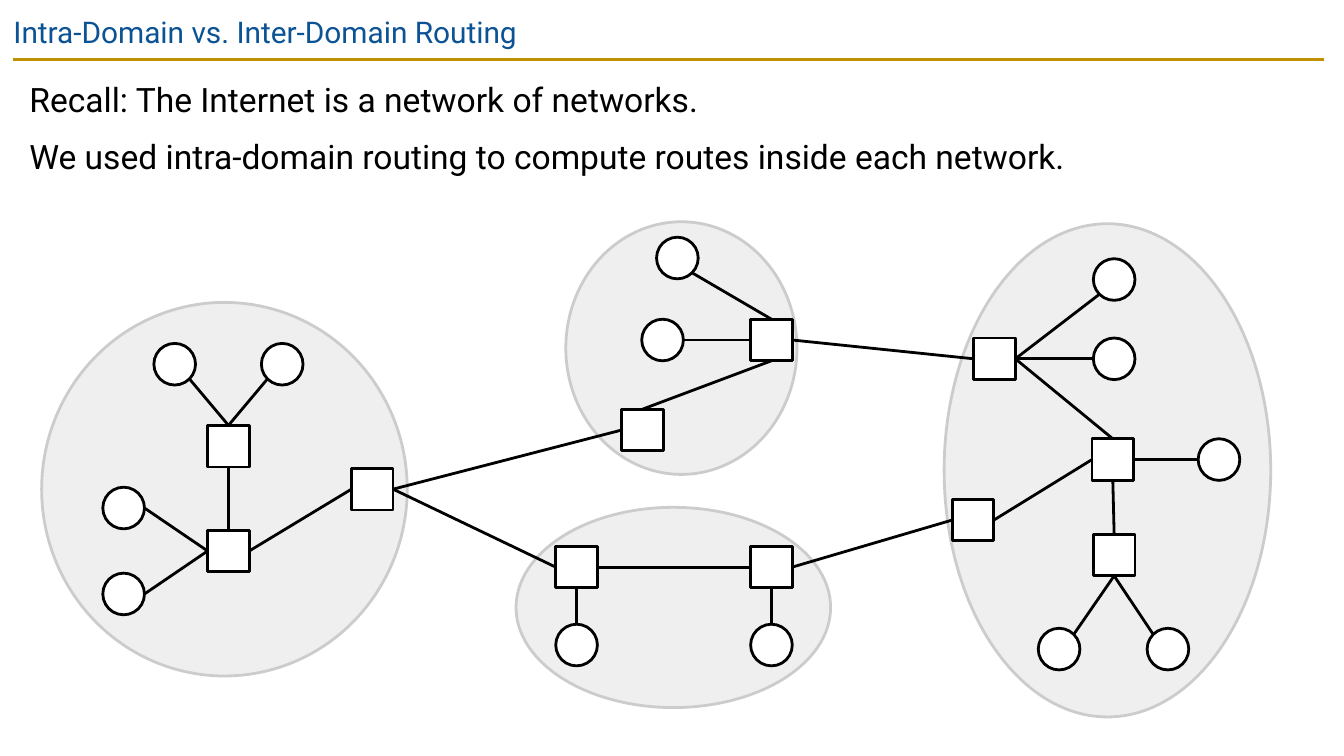
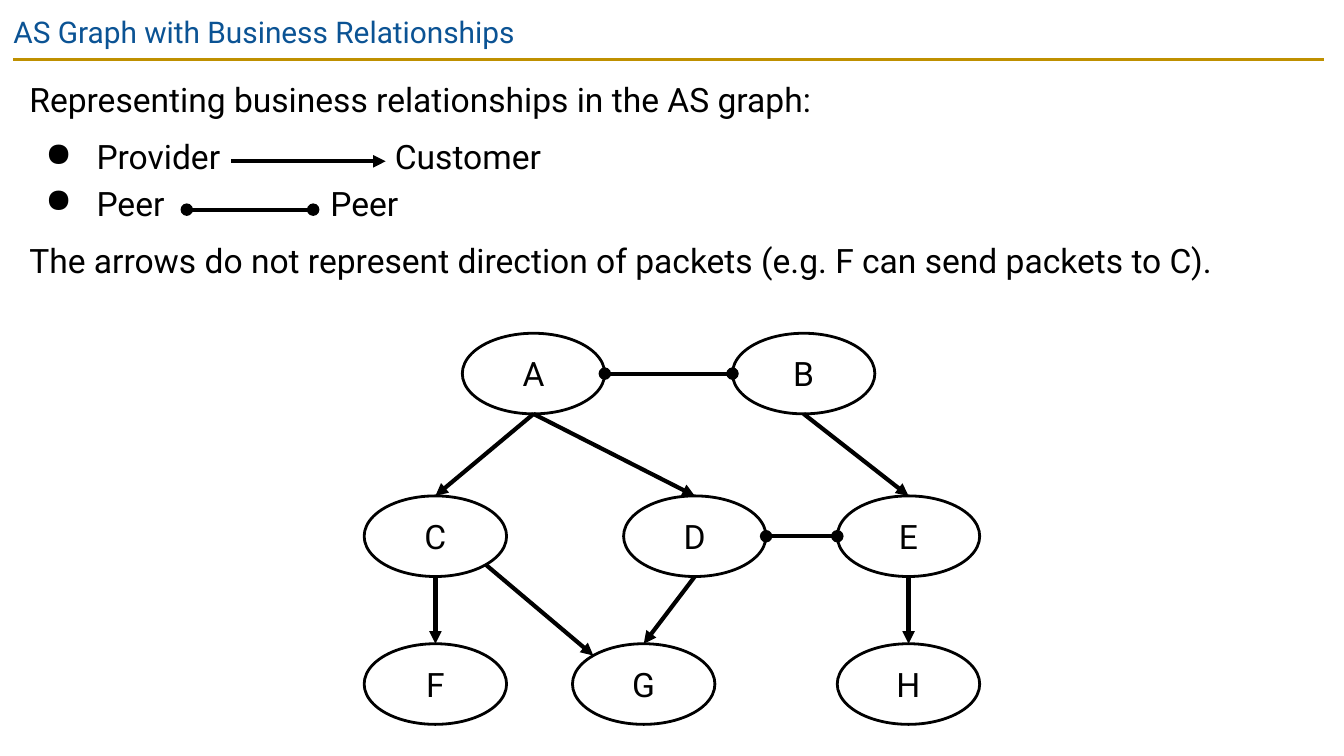
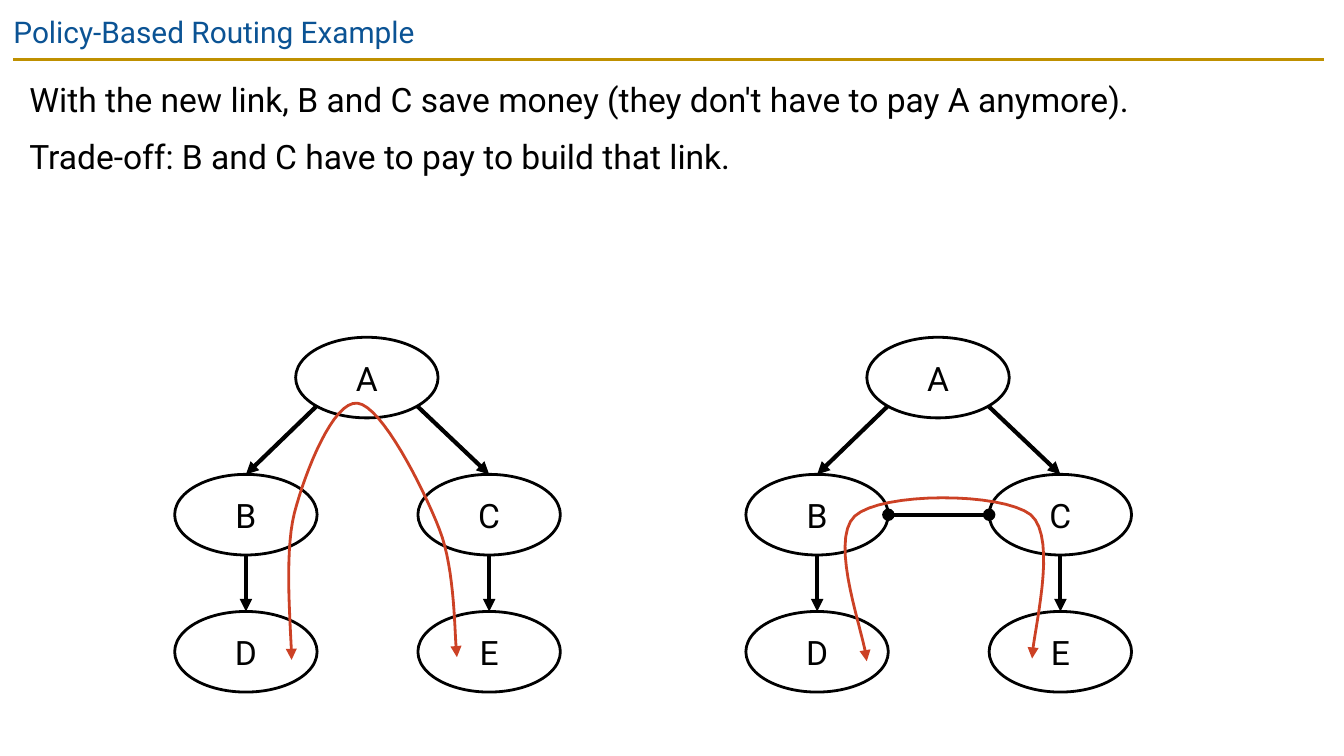
from math import sqrt

from lxml.etree import SubElement
from pptx import Presentation
from pptx.dml.color import RGBColor
from pptx.enum.shapes import MSO_CONNECTOR as Wire, MSO_SHAPE as Form
from pptx.enum.text import MSO_ANCHOR as Anchor, PP_ALIGN as Align
from pptx.oxml.ns import qn
from pptx.util import Inches, Pt

BLACK = RGBColor(0x00, 0x00, 0x00)
WHITE = RGBColor(0xFF, 0xFF, 0xFF)
BLUE = RGBColor(0x0B, 0x53, 0x94)
GOLD = RGBColor(0xBF, 0x90, 0x00)
RED = RGBColor(0xCC, 0x41, 0x25)
PALE = RGBColor(0xEF, 0xEF, 0xEF)
GRAY = RGBColor(0xCC, 0xCC, 0xCC)
FONT = "Roboto"

THIN, THICK = 1.5, 2.25
SPOT = 0.31  # side of a host or router
OVAL = (1.06, 0.6)  # size of a named network
SLANT = sqrt(0.5)  # diagonal ports of an ellipse
PORTS = {
    "n": (0, -1), "s": (0, 1), "w": (-1, 0), "e": (1, 0),
    "nw": (-SLANT, -SLANT), "ne": (SLANT, -SLANT),
    "sw": (-SLANT, SLANT), "se": (SLANT, SLANT),
}


def write(para, text, size=18, color=BLACK, align=Align.LEFT, before=0,
          lines=None, bullet=None, tab=None):
    """Put formatted text in a paragraph."""
    props = para._p.get_or_add_pPr()
    if bullet:
        props.set("marL", str(Inches(0.5)))
        props.set("indent", str(Inches(-0.38)))
        SubElement(props, qn("a:buChar"), char=bullet)
    if tab:
        stops = SubElement(props, qn("a:tabLst"))
        SubElement(stops, qn("a:tab"), pos=str(Inches(tab)), algn="l")
    para.alignment = align
    para.space_before = Pt(before)
    if lines:
        para.line_spacing = lines
    run = para.add_run()
    run.text = text
    run.font.name = FONT
    run.font.size = Pt(size)
    run.font.color.rgb = color


def curve(start, bends, steps=16):
    """Points along a chain of cubic curves."""
    dots = [start]
    for bend in bends:
        knots = [dots[-1], *bend]
        for step in range(1, steps + 1):
            t = step / steps
            parts = ((1 - t) ** 3, 3 * t * (1 - t) ** 2,
                     3 * t * t * (1 - t), t ** 3)
            dots.append(tuple(sum(part * knot[axis]
                                  for part, knot in zip(parts, knots))
                              for axis in (0, 1)))
    return dots


class Deck:
    def __init__(self):
        self.prs = Presentation()
        self.prs.slide_width = Inches(10)
        self.prs.slide_height = Inches(5.625)
        self.slide = None
        self.nodes = {}

    def frame(self, frame, anchor):
        frame.word_wrap = True
        frame.vertical_anchor = anchor
        frame.margin_left = frame.margin_right = Inches(0.1)
        frame.margin_top = frame.margin_bottom = Inches(0.1)
        return frame

    def start(self, title):
        """New slide with its title and gold rule."""
        self.slide = self.prs.slides.add_slide(self.prs.slide_layouts[5])
        self.nodes = {}
        head = self.slide.shapes.title
        head.left, head.top = Inches(0), Inches(0)
        head.width, head.height = Inches(9.32), Inches(0.43)
        frame = self.frame(head.text_frame, Anchor.TOP)
        write(frame.paragraphs[0], title, size=16, color=BLUE)
        self.line((0.1, 0.44), (9.85, 0.44), color=GOLD)

    def body(self, high, *items):
        """Body text; each item is a text and its format."""
        box = self.slide.shapes.add_textbox(
            Inches(0.12), Inches(0.44), Inches(9.74), Inches(high))
        frame = self.frame(box.text_frame, Anchor.TOP)
        for spot, (text, form) in enumerate(items):
            para = frame.add_paragraph() if spot else frame.paragraphs[0]
            look = {"before": 6 if spot else 0, "lines": 1.15, **form}
            write(para, text, **look)

    def shape(self, form, mid, size, fill=None, color=BLACK, text=None):
        """Preset shape set by its centre."""
        (x, y), (wide, high) = mid, size
        item = self.slide.shapes.add_shape(
            form, Inches(x - wide / 2), Inches(y - high / 2),
            Inches(wide), Inches(high))
        self.paint(item, fill, color)
        if text:
            frame = self.frame(item.text_frame, Anchor.MIDDLE)
            write(frame.paragraphs[0], text, align=Align.CENTER)

    def paint(self, item, fill, color):
        item.shadow.inherit = False
        if fill is None:
            item.fill.background()
        else:
            item.fill.solid()
            item.fill.fore_color.rgb = fill
        item.line.color.rgb = color
        item.line.width = Pt(THIN)

    def node(self, name, mid, form=Form.OVAL, size=OVAL, fill=None, text=None):
        self.shape(form, mid, size, fill, text=text)
        self.nodes[name] = (mid, size)

    def named(self, spots):
        for name, mid in spots.items():
            self.node(name, mid, text=name)

    def port(self, name, side):
        (x, y), (wide, high) = self.nodes[name]
        dx, dy = PORTS[side]
        return x + dx * wide / 2, y + dy * high / 2

    def ends(self, line, head, tail):
        edge = line._get_or_add_ln()
        for tag, kind in (("a:headEnd", head), ("a:tailEnd", tail)):
            if kind:
                SubElement(edge, qn(tag), type=kind)

    def line(self, start, stop, color=BLACK, width=THIN, head=None, tail=None):
        item = self.slide.shapes.add_connector(
            Wire.STRAIGHT, *(Inches(n) for n in (*start, *stop)))
        item.line.color.rgb = color
        item.line.width = Pt(width)
        self.ends(item.line, head, tail)
        SubElement(item._element.spPr, qn("a:effectLst"))

    def links(self, pairs, **form):
        """Lines between ports, each as 'node side node side'."""
        for pair in pairs:
            one, side, two, end = pair.split()
            self.line(self.port(one, side), self.port(two, end), **form)

    def route(self, start, *bends):
        """Red traffic path with arrows at both ends."""
        dots = [(Inches(x), Inches(y)) for x, y in curve(start, bends)]
        pen = self.slide.shapes.build_freeform(*dots[0], scale=1.0)
        pen.add_line_segments(dots[1:], close=False)
        item = pen.convert_to_shape()
        self.paint(item, None, RED)
        self.ends(item.line, "triangle", "triangle")


ARROW = {"width": THICK, "tail": "triangle"}
PEER = {"width": THICK, "head": "oval", "tail": "oval"}


def domains(deck):
    deck.start("Intra-Domain vs. Inter-Domain Routing")

    # Networks
    for mid, size in (((5.07, 2.59), (1.72, 1.88)),
                      ((5.01, 4.52), (2.34, 1.49)),
                      ((8.24, 3.5), (2.43, 3.67)),
                      ((1.67, 3.64), (2.72, 2.78))):
        deck.shape(Form.OVAL, mid, size, PALE, GRAY)

    # Routers and hosts
    routers = [(1.7, 4.1), (1.7, 3.32), (2.77, 3.64),
               (5.74, 2.53), (4.78, 3.2),
               (4.29, 4.22), (5.74, 4.22),
               (7.24, 3.87), (7.4, 2.67), (8.28, 3.42), (8.29, 4.13)]
    hosts = [(1.3, 2.71), (2.1, 2.71), (0.92, 3.78), (0.92, 4.42),
             (4.93, 2.53), (5.04, 1.92),
             (4.29, 4.8), (5.74, 4.8),
             (8.29, 2.67), (7.88, 4.83), (8.69, 4.83), (9.07, 3.42),
             (8.29, 2.08)]
    for key, form, mids in (("R", Form.RECTANGLE, routers),
                            ("H", Form.OVAL, hosts)):
        for count, mid in enumerate(mids, 1):
            deck.node(f"{key}{count}", mid, form, (SPOT, SPOT), WHITE)

    # Links inside each network
    deck.links(["H1 se R2 n", "R2 n H2 sw", "R1 w H3 e", "R1 w H4 e",
                "R1 e R3 w", "R2 s R1 n",
                "R4 n H6 se", "R4 w H5 e", "R4 s R5 n",
                "H7 n R6 s", "R6 e R7 w", "H8 n R7 s",
                "R9 e H9 w", "H11 nw R11 s", "H10 ne R11 s", "R10 n R9 e",
                "R10 w R8 e", "R10 s R11 n", "R10 e H12 w", "R9 e H13 sw"])
    # Links between networks
    deck.links(["R3 e R6 w", "R3 e R5 w", "R4 e R9 w", "R7 e R8 w"])

    deck.body(1.17,
              ("Recall: The Internet is a network of networks.", {}),
              ("We used intra-domain routing to compute routes inside each "
               "network.", {}))


def graph(deck):
    deck.start("AS Graph with Business Relationships")
    deck.body(4.95,
              ("Representing business relationships in the AS graph:", {}),
              ("Provider\tCustomer", {"bullet": "●", "tab": 2.72}),
              ("Peer\tPeer", {"bullet": "●", "tab": 2.24, "before": 0}),
              ("The arrows do not represent direction of packets "
               "(e.g. F can send packets to C).", {}))

    # Legend lines
    deck.line((1.72, 1.2), (2.87, 1.2), **ARROW)
    deck.line((1.39, 1.56), (2.33, 1.56), **PEER)

    # Graph
    top, mid, low = 2.78, 3.99, 5.09
    deck.named({"A": (3.97, top), "B": (5.98, top),
                "C": (3.24, mid), "D": (5.17, mid), "E": (6.76, mid),
                "F": (3.24, low), "G": (4.79, low), "H": (6.76, low)})
    deck.links(["A s C n", "A s D n", "B s E n", "C s F n",
                "C se G nw", "D s G n", "E s H n"], **ARROW)
    deck.links(["A e B w", "D e E w"], **PEER)


def tree(deck, left):
    mid, right = left + 0.9, left + 1.81
    top, step = 2.81, 1.02
    deck.named({"A": (mid, top),
                "B": (left, top + step), "C": (right, top + step),
                "D": (left, top + 2 * step), "E": (right, top + 2 * step)})
    deck.links(["A sw B n", "A se C n", "B s D n", "C s E n"], **ARROW)


def policy(deck):
    deck.start("Policy-Based Routing Example")
    deck.body(1.65,
              ("With the new link, B and C save money (they don't have to "
               "pay A anymore).", {}),
              ("Trade-off: B and C have to pay to build that link.", {}))

    # Traffic through A
    tree(deck, 1.83)
    deck.route((2.17, 4.91),
               [(2.17, 4.73), (2.11, 4.14), (2.19, 3.82)],
               [(2.27, 3.51), (2.48, 2.98), (2.66, 3)],
               [(2.84, 3.02), (3.15, 3.63), (3.27, 3.94)],
               [(3.39, 4.25), (3.38, 4.73), (3.4, 4.89)])

    # Traffic over the new link
    tree(deck, 6.08)
    deck.links(["C w B e"], **PEER)
    deck.route((6.45, 4.92),
               [(6.44, 4.74), (6.16, 4.03), (6.36, 3.84)],
               [(6.56, 3.66), (7.45, 3.66), (7.67, 3.83)],
               [(7.88, 4.01), (7.68, 4.73), (7.68, 4.9)])


def main():
    deck = Deck()
    for build in (domains, graph, policy):
        build(deck)
    deck.prs.save("out.pptx")


if __name__ == "__main__":
    main()
